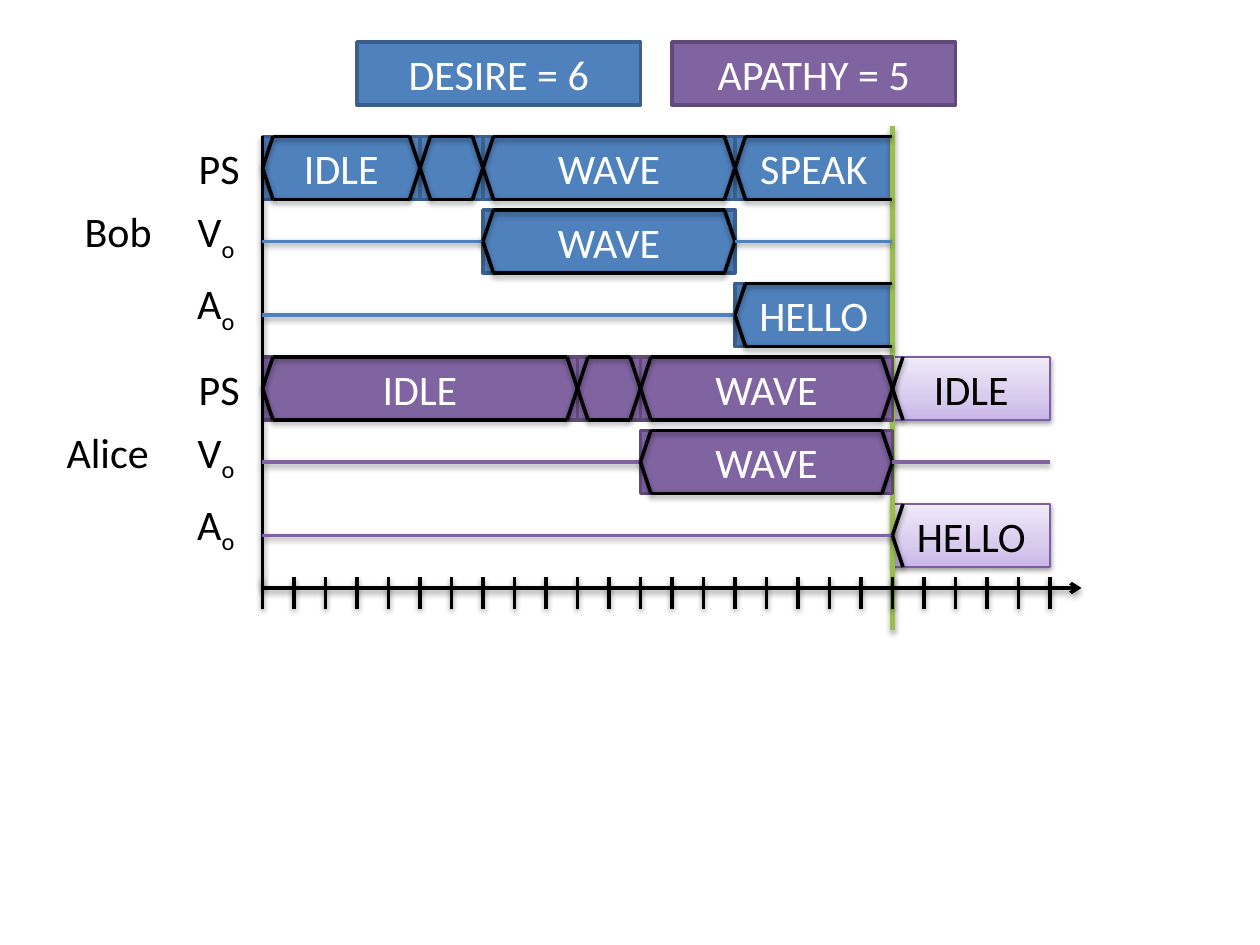
import copy

import pptx
import pptx.dml.color
import pptx.enum.shapes
import pptx.enum.text
import pptx.oxml.ns
import pptx.util
from lxml import etree

SCALE = 9525  # EMU per px, 96 px to the inch
COLORS = {
    "ink": "000000", "paper": "FFFFFF", "now": "9BBB59",
    "bob": "4F81BD", "bob edge": "3A5F8C",
    "alice": "8064A2", "alice edge": "5F4A78", "next edge": "7D60A0",
}
FADE = [(0, "C9B5E8"), (0.35, "D8CBEE"), (1, "F0EAF9")]

LEFT, TICK, TICKS, NOW = 200, 24, 25, 20
TOP, PITCH, HIGH, BEVEL = 104, 56, 48, 8
AXIS = 448

# Each lane: who, label, last tick, segments of (start, end, text, kind).
# "full" is closed, "cut" stops at the present, "next" lies in the future.
LANES = [
    ("bob", "PS", 20, [(0, 5, "IDLE", "full"), (5, 7, "", "full"),
                       (7, 15, "WAVE", "full"), (15, 20, "SPEAK", "cut")]),
    ("bob", "Vo", 20, [(7, 15, "WAVE", "full")]),
    ("bob", "Ao", 20, [(15, 20, "HELLO", "cut")]),
    ("alice", "PS", 25, [(0, 10, "IDLE", "full"), (10, 12, "", "full"),
                         (12, 20, "WAVE", "full"), (20, 25, "IDLE", "next")]),
    ("alice", "Vo", 25, [(12, 20, "WAVE", "full")]),
    ("alice", "Ao", 25, [(20, 25, "HELLO", "next")]),
]


def px(*vals):
    return [pptx.util.Emu(val * SCALE) for val in vals]


def rgb(code):
    return pptx.dml.color.RGBColor.from_string(code)


def time_x(tick):
    return LEFT + tick * TICK


def row_y(row):
    return TOP + row * PITCH


def add_run(para, text, color, sub=False):
    run = para.add_run()
    run.text = text
    run.font.size = pptx.util.Pt(24)
    run.font.name = "Calibri"
    run.font.color.rgb = rgb(COLORS[color])
    if sub:
        run.font._element.set("baseline", "-25000")


def add_glow(props, dist=20000, alpha=38000):
    """Give the shape properties a soft shadow straight below."""
    name = pptx.oxml.ns.qn
    effects = props.find(name("a:effectLst"))
    if effects is None:
        effects = etree.SubElement(props, name("a:effectLst"))
    outer = etree.SubElement(effects, name("a:outerShdw"), blurRad="40000",
                             dist=str(dist), dir="5400000", rotWithShape="0")
    tint = etree.SubElement(outer, name("a:srgbClr"), val=COLORS["ink"])
    etree.SubElement(tint, name("a:alpha"), val=str(alpha))


def add_line(slide, start, end, color="ink", width=2, arrow=False, **glow):
    line = slide.shapes.add_connector(
        pptx.enum.shapes.MSO_CONNECTOR.STRAIGHT, *px(*start, *end))
    line.line.color.rgb = rgb(COLORS[color])
    line.line.width = pptx.util.Pt(width)
    if arrow:
        etree.SubElement(line.line._get_or_add_ln(),
                         pptx.oxml.ns.qn("a:tailEnd"), type="arrow")
    add_glow(line._element.spPr, **glow)


def fade_fill(shape):
    """Fill with the three-stop fade, darkest at the bottom."""
    shape.fill.gradient()
    stops = shape._element.spPr.find(
        ".//" + pptx.oxml.ns.qn("a:gsLst"))
    stops.append(copy.deepcopy(stops[0]))
    for stop, (place, code) in zip(shape.fill.gradient_stops, FADE):
        stop.color.rgb = rgb(code)
        stop.position = place
    shape.fill.gradient_angle = 90


def add_box(slide, x, y, wide, text, who, future=False):
    box = slide.shapes.add_shape(
        pptx.enum.shapes.MSO_SHAPE.RECTANGLE, *px(x, y, wide, HIGH))
    box.shadow.inherit = False
    if future:
        fade_fill(box)
        add_glow(box._element.spPr)
    else:
        box.fill.solid()
        box.fill.fore_color.rgb = rgb(COLORS[who])
    edge = "next edge" if future else who + " edge"
    box.line.color.rgb = rgb(COLORS[edge])
    box.line.width = pptx.util.Pt(0.75 if future else 2)
    if text:
        box.text_frame.vertical_anchor = pptx.enum.text.MSO_ANCHOR.MIDDLE
        para = box.text_frame.paragraphs[0]
        para.alignment = pptx.enum.text.PP_ALIGN.CENTER
        add_run(para, text, "ink" if future else "paper")


def add_label(slide, x, y, wide, align, main, sub=""):
    frame = slide.shapes.add_textbox(*px(x, y, wide, HIGH)).text_frame
    frame.word_wrap = True
    frame.auto_size = pptx.enum.text.MSO_AUTO_SIZE.SHAPE_TO_FIT_TEXT
    para = frame.paragraphs[0]
    para.alignment = align
    add_run(para, main, "ink")
    if sub:
        add_run(para, sub, "ink", sub=True)


def add_boxes(slide, kind):
    for row, (who, _, _, parts) in enumerate(LANES):
        for start, end, text, state in parts:
            if state == kind:
                add_box(slide, time_x(start), row_y(row),
                        (end - start) * TICK, text, who, kind == "next")


def add_bevel(slide, x, y, side):
    """Draw a pointed end at x that opens to the right (1) or left (-1)."""
    tip, back = (x, y + HIGH // 2), x + side * BEVEL
    add_line(slide, (back, y + HIGH), tip)
    add_line(slide, tip, (back, y))


def add_cross(slide, x, y):
    add_line(slide, (x - BEVEL, y), (x + BEVEL, y + HIGH))
    add_line(slide, (x - BEVEL, y + HIGH), (x + BEVEL, y))


def add_signal(slide, row, who, last, parts):
    """Outline the lane's segments and join them with idle lines."""
    y, prev = row_y(row), None
    mid = y + HIGH // 2
    for start, end, _, kind in parts:
        x, stop = time_x(start), time_x(end)
        if start == prev:
            add_cross(slide, x, y)
        else:
            if start:
                add_line(slide, (LEFT, mid), (x, mid), who)
            add_bevel(slide, x, y, 1)
        if kind != "next":
            right = stop if kind == "cut" else stop - BEVEL
            for edge in (y, y + HIGH):
                add_line(slide, (x + BEVEL, edge), (right, edge))
        prev = end
    if prev < last:
        add_bevel(slide, time_x(prev), y, -1)
        add_line(slide, (time_x(prev), mid), (time_x(last), mid), who)


def add_axes(slide):
    add_line(slide, (LEFT, AXIS), (824, AXIS), arrow=True)
    add_line(slide, (LEFT, AXIS), (LEFT, TOP))
    for tick in range(TICKS + 1):
        x = time_x(tick)
        add_line(slide, (x, AXIS - 8), (x, AXIS + 16))


def add_labels(slide):
    align = pptx.enum.text.PP_ALIGN
    add_label(slide, 48, 152, 84, align.CENTER, "Bob")
    add_label(slide, 40, 320, 84, align.CENTER, "Alice")
    shifts = {"PS": (137, 0), "Vo": (133, -8), "Ao": (133, -9)}
    for row, (_, label, _, _) in enumerate(LANES):
        x, down = shifts[label]
        main, sub = (label, "") if label == "PS" else label
        add_label(slide, x, row_y(row) + down, 55, align.RIGHT, main, sub)


def main():
    deck = pptx.Presentation()
    deck.slide_width, deck.slide_height = px(960, 720)
    slide = deck.slides.add_slide(deck.slide_layouts[6])
    add_boxes(slide, "next")
    add_boxes(slide, "cut")
    add_line(slide, (time_x(NOW), 480), (time_x(NOW), 96), "now", 3,
             dist=23000, alpha=35000)
    add_boxes(slide, "full")
    add_axes(slide)
    add_labels(slide)
    add_box(slide, 272, 32, 216, "DESIRE = 6", "bob")
    add_box(slide, 512, 32, 216, "APATHY = 5", "alice")
    for row, (who, _, last, parts) in enumerate(LANES):
        add_signal(slide, row, who, last, parts)
    deck.save("out.pptx")


if __name__ == "__main__":
    main()
